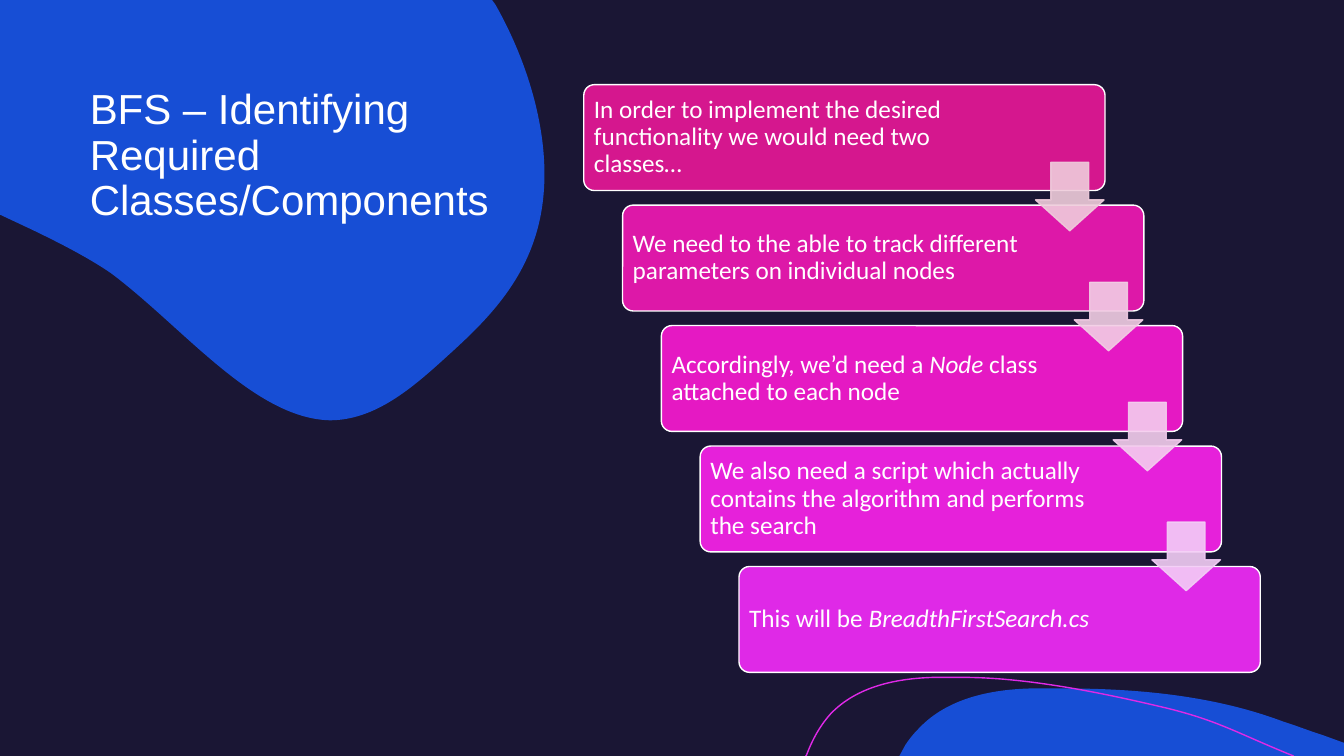
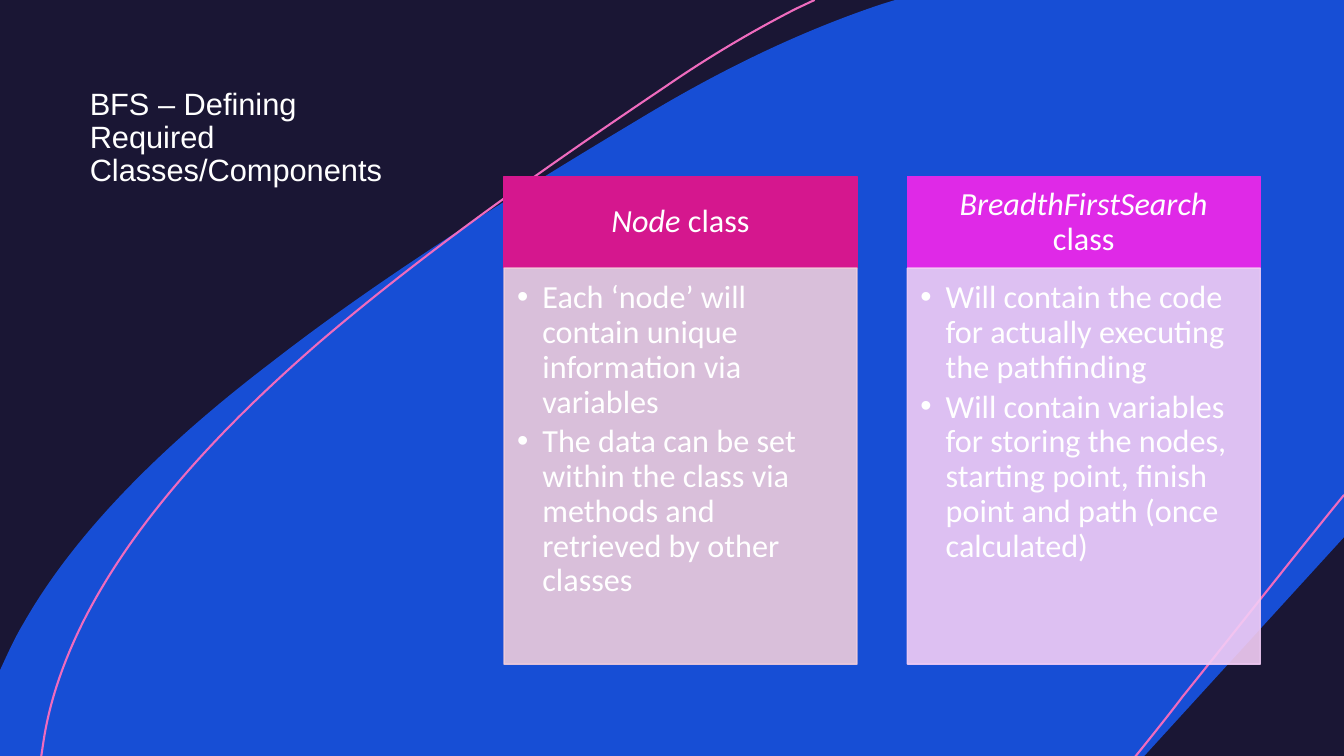
"""Build two slides on the classes needed for breadth-first search."""
from dataclasses import dataclass

from lxml import etree
from pptx import Presentation
from pptx.dml.color import RGBColor
from pptx.enum import shapes, text
from pptx.oxml import ns
from pptx.util import Inches, Pt


@dataclass(frozen=True)
class Theme:
    night: str = "1A1634"
    blue: str = "174ED5"
    white: str = "FFFFFF"
    magenta: str = "DF29E7"
    pink: str = "EF6BBE"
    steps: tuple = ("D5178E", "DD18A8", "E519C3", "E621DA", "DF29E7")
    tints: tuple = ("EFCCDB", "F2CDE4", "F4CDEE", "F3CDF6")
    title_font: str = "Arial"
    body_font: str = "Calibri"
    step_size: int = 18
    column_size: int = 23
    line_spacing: float = 0.9
    tint_opacity: int = 90


THEME = Theme()
SLIDE_W, SLIDE_H = 13.33, 7.5

STEPS = [
    [("In order to implement the desired functionality we would need two classes…", False)],
    [("We need to the able to track different parameters on individual nodes", False)],
    [("Accordingly, we’d need a ", False), ("Node ", True), ("class attached to each node", False)],
    [("We also need a script which actually contains the algorithm and performs the search", False)],
    [("This will be ", False), ("BreadthFirstSearch.cs", True)],
]
COLUMNS = [
    {
        "name": "Node",
        "points": [
            "Each ‘node’ will contain unique information via variables",
            "The data can be set within the class via methods and retrieved by other classes",
        ],
        "fill": THEME.steps[0],
        "tint": THEME.tints[0],
    },
    {
        "name": "BreadthFirstSearch",
        "points": [
            "Will contain the code for actually executing the pathfinding",
            "Will contain variables for storing the nodes, starting point, finish point and path (once calculated)",
        ],
        "fill": THEME.steps[-1],
        "tint": THEME.tints[-1],
    },
]

CORNER_BLOB = [
    (0, 0), (4.88, 0), (4.91, 0.04),
    (5.23, 0.6, 5.45, 1.31, 5.39, 1.94), (5.32, 2.7, 4.86, 3.15, 4.44, 3.53),
    (4.09, 3.85, 3.72, 4.17, 3.27, 4.17), (2.52, 4.15, 1.82, 3.25, 1.1, 2.71),
    (0.88, 2.56, 0.61, 2.42, 0.32, 2.28), (0, 2.13),
]
BOTTOM_HILL = [
    (10.54, 6.83), (11.28, 6.83, 12.04, 6.9, 12.73, 7.16),
    (12.86, 7.2, 12.98, 7.25, 13.11, 7.29), (SLIDE_W, 7.37), (SLIDE_W, SLIDE_H),
    (8.92, SLIDE_H), (8.98, 7.39), (9.02, 7.33, 9.06, 7.28, 9.11, 7.23),
    (9.39, 6.93, 9.82, 6.84, 10.23, 6.83), (10.33, 6.83, 10.43, 6.83, 10.54, 6.83),
]
HILL_LINE = [
    (7.99, SLIDE_H), (8, 7.49), (8.06, 7.33, 8.14, 7.19, 8.24, 7.08),
    (8.5, 6.81, 8.89, 6.73, 9.26, 6.72), (9.55, 6.72),
    (10.22, 6.72, 11, 6.89, 11.55, 7.02), (12.09, 7.15, 12.26, 7.27, 12.83, SLIDE_H),
]
WIDE_BAND = [
    (8.88, 0), (SLIDE_W, 0), (SLIDE_W, 5.33), (11.35, SLIDE_H), (0, SLIDE_H), (0, 6.66), (0, 6.65),
    (0.07, 6.5, 0.14, 6.34, 0.23, 6.19), (0.74, 5.29, 1.61, 4.42, 2.7, 3.59),
    (3.78, 2.75, 5.07, 1.94, 6.41, 1.14), (7.26, 0.63, 8.03, 0.28, 8.75, 0.04),
]
BAND_LINE = [
    (0.41, SLIDE_H), (0.43, 7.37), (0.49, 6.96, 0.63, 6.56, 0.83, 6.16),
    (1.31, 5.21, 2.13, 4.3, 3.14, 3.42), (4.15, 2.55, 5.35, 1.7, 6.6, 0.86),
    (7.05, 0.55, 7.48, 0.3, 7.89, 0.09), (8.08, 0),
]
CORNER_LINE = [
    (SLIDE_W, 4.91), (12.8, 5.56, 12.27, 6.24, 11.73, 6.91),
    (11.58, 7.11, 11.24, 7.53, 11.24, 7.53),
]


def rgb(color):
    return RGBColor.from_string(color)


def paint(shape, fill=None, line=None, width=1, opacity=100):
    shape.shadow.inherit = False
    if fill:
        shape.fill.solid()
        shape.fill.fore_color.rgb = rgb(fill)
    else:
        shape.fill.background()
    if line:
        shape.line.color.rgb = rgb(line)
        shape.line.width = Pt(width)
    else:
        shape.line.fill.background()
    if opacity < 100:
        for color in shape.element.spPr.iter(ns.qn("a:srgbClr")):
            etree.SubElement(color, ns.qn("a:alpha"), val=str(opacity * 1000))


def bend(shape, steps):
    segments = list(shape.element.iter(ns.qn("a:lnTo")))
    for segment, step in zip(segments, steps):
        if len(step) == 2:
            continue
        curve = etree.Element(ns.qn("a:cubicBezTo"))
        for x, y in (step[:2], step[2:4], step[4:]):
            etree.SubElement(curve, ns.qn("a:pt"), x=str(Inches(x) - shape.left),
                             y=str(Inches(y) - shape.top))
        segment.getparent().replace(segment, curve)


def add_outline(page, outline, fill=None, line=None, width=1):
    start, *steps = outline
    builder = page.shapes.build_freeform(*map(Inches, start))
    builder.add_line_segments([tuple(map(Inches, step[-2:])) for step in steps], close=fill is not None)
    shape = builder.convert_to_shape()
    bend(shape, steps)
    paint(shape, fill, line, width)


def add_block(page, kind, left, top, width, height, adjust=(), **look):
    block = page.shapes.add_shape(kind, *map(Inches, (left, top, width, height)))
    for i, value in enumerate(adjust):
        block.adjustments[i] = value
    paint(block, **look)
    return block


def write(shape, paragraphs, size, font=THEME.body_font, insets=(0.1, 0.05, 0.1, 0.05),
          anchor=text.MSO_ANCHOR.MIDDLE, align=text.PP_ALIGN.LEFT, bullet=False):
    frame = shape.text_frame
    frame.word_wrap = True
    frame.auto_size = text.MSO_AUTO_SIZE.NONE
    frame.vertical_anchor = anchor
    frame.margin_left, frame.margin_top, frame.margin_right, frame.margin_bottom = map(Inches, insets)
    for i, runs in enumerate(paragraphs):
        para = frame.add_paragraph() if i else frame.paragraphs[0]
        para.alignment = align
        para.line_spacing = THEME.line_spacing
        if bullet:
            para.space_after = Pt(size * 0.15)
            props = para._p.get_or_add_pPr()
            props.set("marL", str(Inches(0.25)))
            props.set("indent", str(-Inches(0.25)))
            etree.SubElement(props, ns.qn("a:buFont"), typeface="Arial")
            etree.SubElement(props, ns.qn("a:buChar"), char="•")
        for words, italic in runs:
            span = para.add_run()
            span.text = words
            span.font.name = font
            span.font.size = Pt(size)
            span.font.italic = italic
            span.font.color.rgb = rgb(THEME.white)


def add_title(page, words, width, size):
    title = page.shapes.title
    title.left, title.top, title.width, title.height = map(Inches, (0.79, 0.83, width, 2.5))
    write(title, [[(words, False)]], size, THEME.title_font, anchor=text.MSO_ANCHOR.TOP)
    title.element.getparent().append(title.element)


def add_steps(page):
    shift = 0.385
    for i, (runs, color) in enumerate(zip(STEPS, THEME.steps)):
        box = add_block(page, shapes.MSO_SHAPE.ROUNDED_RECTANGLE, 5.79 + shift * i, 0.84 + 1.195 * i,
                        5.17, 1.05, (0.1,), fill=color, line=THEME.white)
        write(box, [runs], THEME.step_size, insets=(0.07, 0.07, 1.14, 0.07))
    for i, tint in enumerate(THEME.tints):
        add_block(page, shapes.MSO_SHAPE.DOWN_ARROW, 10.27 + shift * i, 1.61 + 1.19 * i, 0.68, 0.68,
                  (0.55, 0.45), fill=tint, line=tint, opacity=THEME.tint_opacity)


def add_columns(page):
    top, width, head, body, pitch = 1.75, 3.5, 0.91, 3.93, 4
    for i, column in enumerate(COLUMNS):
        left = 5 + pitch * i
        header = add_block(page, shapes.MSO_SHAPE.RECTANGLE, left, top, width, head,
                           fill=column["fill"], line=column["fill"])
        write(header, [[(column["name"], True), (" class", False)]], THEME.column_size,
              insets=(0.18, 0.1, 0.18, 0.1), align=text.PP_ALIGN.CENTER)
        panel = add_block(page, shapes.MSO_SHAPE.RECTANGLE, left, top + head, width, body,
                          fill=column["tint"], line=column["tint"], opacity=THEME.tint_opacity)
        write(panel, [[(point, False)] for point in column["points"]], THEME.column_size,
              insets=(0.13, 0.13, 0.18, 0.2), anchor=text.MSO_ANCHOR.TOP, bullet=True)


def main():
    deck = Presentation()
    deck.slide_width, deck.slide_height = Inches(SLIDE_W), Inches(SLIDE_H)
    backdrop = deck.slide_master.background.fill
    backdrop.solid()
    backdrop.fore_color.rgb = rgb(THEME.night)
    title_only = deck.slide_layouts.get_by_name("Title Only")

    page = deck.slides.add_slide(title_only)
    add_outline(page, CORNER_BLOB, fill=THEME.blue)
    add_title(page, "BFS – Identifying Required Classes/Components", 4.21, 30)
    add_outline(page, BOTTOM_HILL, fill=THEME.blue)
    add_outline(page, HILL_LINE, line=THEME.magenta)
    add_steps(page)

    page = deck.slides.add_slide(title_only)
    add_outline(page, WIDE_BAND, fill=THEME.blue)
    add_outline(page, BAND_LINE, line=THEME.pink, width=1.5)
    add_title(page, "BFS – Defining Required Classes/Components", 3.33, 22)
    add_outline(page, CORNER_LINE, line=THEME.pink, width=1.5)
    add_columns(page)

    deck.save("out.pptx")


if __name__ == "__main__":
    main()
